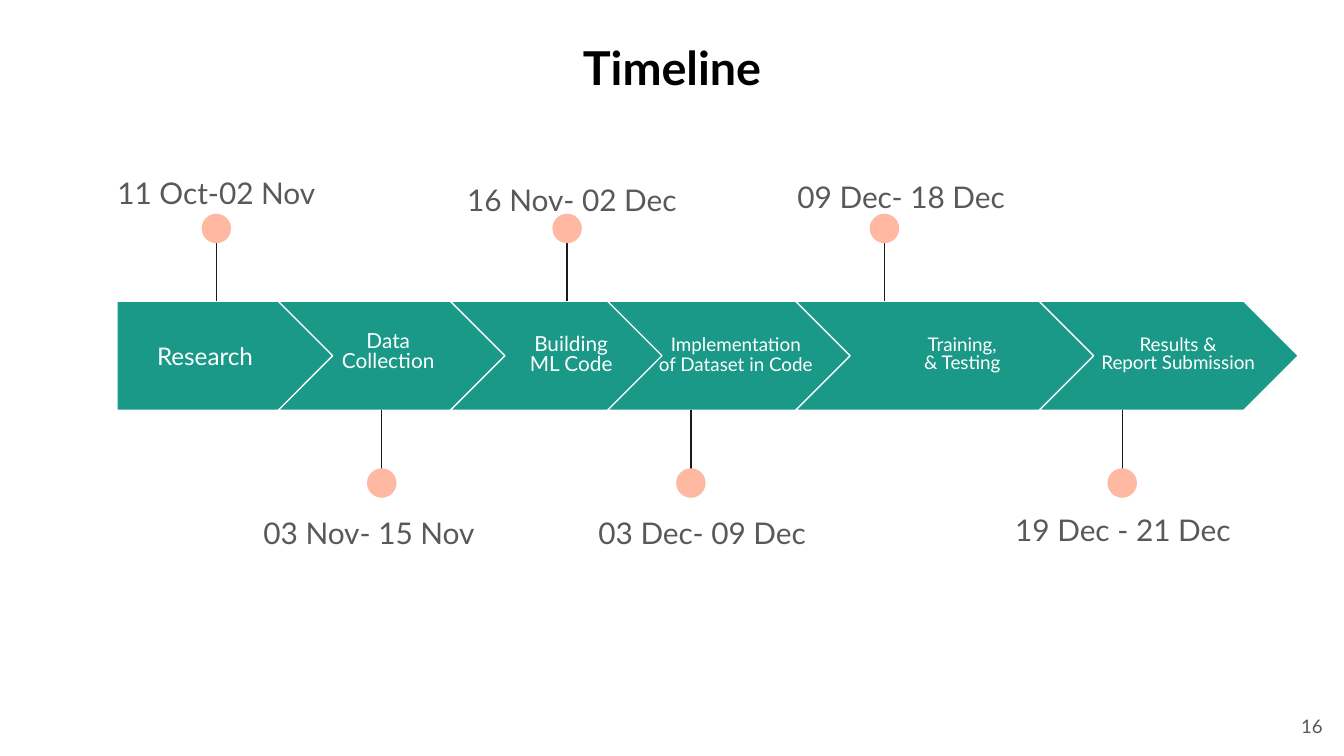
from dataclasses import dataclass

from lxml.etree import SubElement
from pptx import Presentation
from pptx.dml.color import RGBColor
from pptx.enum.shapes import MSO_CONNECTOR, MSO_SHAPE
from pptx.enum.text import MSO_ANCHOR, PP_ALIGN
from pptx.oxml.ns import qn
from pptx.shapes.base import BaseShape
from pptx.slide import Slide
from pptx.util import Pt


@dataclass(frozen=True)
class Theme:
    font: str = "Lato"
    band: RGBColor = RGBColor(0x1A, 0x99, 0x88)
    white: RGBColor = RGBColor(0xFF, 0xFF, 0xFF)
    black: RGBColor = RGBColor(0, 0, 0)
    pin: RGBColor = RGBColor(0xFF, 0xB8, 0xA2)
    stem: RGBColor = RGBColor(0x1A, 0x1A, 0x1A)
    grey: RGBColor = RGBColor(0x59, 0x59, 0x59)
    title_size: float = 25
    date_size: float = 16
    lead_size: float = 13
    label_size: float = 11.1
    small_size: float = 10.1
    number_size: float = 10


@dataclass(frozen=True)
class Stage:
    left: float
    width: float
    label: str
    label_center: float
    label_top: float
    label_size: float
    line_spacing: float
    pin_center: float
    date: str
    date_center: float
    date_top: float
    above: bool


THEME = Theme()
BAND_TOP, BAND_HEIGHT = 161.3, 58.6
STEM_LENGTH, PIN_SIZE = 43.2, 15.8
LABEL_WIDTH, LABEL_HEIGHT = 104, 36.7
DATE_WIDTH, DATE_HEIGHT = 176, 37

STAGES = [
    Stage(62.6, 115.9, "Research", 109.8, 172.1, THEME.lead_size, 1,
          115.9, "11 Oct-02 Nov", 115.9, 83.5, True),
    Stage(149, 132.5, "Data\nCollection", 208, 170.6, THEME.label_size, 0.8,
          204.5, "03 Nov- 15 Nov", 197.7, 265.7, False),
    Stage(241.2, 121, "Building\nML Code", 306, 172.1, THEME.label_size, 0.8,
          303.8, "16 Nov- 02 Dec", 306.4, 87.1, True),
    Stage(325.4, 161.3, "Implementation\nof Dataset in Code", 394.2, 172.1, THEME.small_size, 0.9,
          370.1, "03 Dec- 09 Dec", 376.2, 265.7, False),
    Stage(426.2, 161.3, "Training,\n& Testing", 515.5, 172.1, THEME.small_size, 0.8,
          473.8, "09 Dec- 18 Dec", 482.8, 85.7, True),
    Stage(556.6, 139, "Results &\nReport Submission", 631.2, 172.1, THEME.small_size, 0.8,
          601.2, "19 Dec - 21 Dec", 601.6, 264.2, False),
]


def write_text(box: BaseShape, text: str, *, size: float, color: RGBColor, bold: bool = False,
               align: PP_ALIGN = PP_ALIGN.CENTER, anchor: MSO_ANCHOR = MSO_ANCHOR.TOP,
               spacing: float = 1) -> None:
    frame = box.text_frame
    frame.word_wrap = True
    frame.vertical_anchor = anchor
    frame.margin_left = frame.margin_right = Pt(7.2)
    frame.margin_top = frame.margin_bottom = Pt(7.2)
    frame.text = text
    for para in frame.paragraphs:
        para.alignment = align
        para.line_spacing = spacing
        for span in para.runs:
            span.font.name = THEME.font
            span.font.size = Pt(size)
            span.font.bold = bold
            span.font.color.rgb = color


def add_box(slide: Slide, left: float, top: float, width: float, height: float) -> BaseShape:
    return slide.shapes.add_textbox(Pt(left), Pt(top), Pt(width), Pt(height))


def add_band(slide: Slide, stage: Stage, kind: MSO_SHAPE) -> None:
    band = slide.shapes.add_shape(
        kind, Pt(stage.left), Pt(BAND_TOP), Pt(stage.width), Pt(BAND_HEIGHT))
    band.shadow.inherit = False
    band.fill.solid()
    band.fill.fore_color.rgb = THEME.band
    band.line.color.rgb = THEME.white
    band.line.width = Pt(0.75)


def add_pin(slide: Slide, center: float, above: bool) -> None:
    base = BAND_TOP if above else BAND_TOP + BAND_HEIGHT
    tip = base - STEM_LENGTH if above else base + STEM_LENGTH
    stem = slide.shapes.add_connector(
        MSO_CONNECTOR.STRAIGHT, Pt(center), Pt(tip), Pt(center), Pt(base))
    stem.line.color.rgb = THEME.stem
    stem.line.width = Pt(0.75)
    SubElement(stem._element.spPr, qn("a:effectLst"))
    top = tip - 3.6 if above else tip + 3.6 - PIN_SIZE
    dot = slide.shapes.add_shape(
        MSO_SHAPE.OVAL, Pt(center - PIN_SIZE / 2), Pt(top), Pt(PIN_SIZE), Pt(PIN_SIZE))
    dot.shadow.inherit = False
    dot.fill.solid()
    dot.fill.fore_color.rgb = THEME.pin
    dot.line.fill.background()


def add_stage(slide: Slide, stage: Stage, kind: MSO_SHAPE) -> None:
    add_band(slide, stage, kind)
    label = add_box(slide, stage.label_center - LABEL_WIDTH / 2, stage.label_top,
                    LABEL_WIDTH, LABEL_HEIGHT)
    write_text(label, stage.label, size=stage.label_size, color=THEME.white,
               anchor=MSO_ANCHOR.MIDDLE, spacing=stage.line_spacing)
    add_pin(slide, stage.pin_center, stage.above)
    date = add_box(slide, stage.date_center - DATE_WIDTH / 2, stage.date_top,
                   DATE_WIDTH, DATE_HEIGHT)
    write_text(date, stage.date, size=THEME.date_size, color=THEME.grey, spacing=1.15)


def main() -> None:
    deck = Presentation()
    deck.slide_width, deck.slide_height = Pt(720), Pt(405)
    slide = deck.slides.add_slide(deck.slide_layouts[5])
    title = slide.shapes.title
    title.left, title.top, title.width, title.height = Pt(110), Pt(13.7), Pt(500), Pt(44.6)
    write_text(title, "Timeline", size=THEME.title_size, color=THEME.black, bold=True)
    for index, stage in enumerate(STAGES):
        add_stage(slide, stage, MSO_SHAPE.CHEVRON if index else MSO_SHAPE.PENTAGON)
    number = add_box(slide, 672.5, 373.7, 43.2, 31)
    write_text(number, "16", size=THEME.number_size, color=THEME.grey,
               align=PP_ALIGN.RIGHT, anchor=MSO_ANCHOR.MIDDLE)
    deck.save("out.pptx")


if __name__ == "__main__":
    main()
